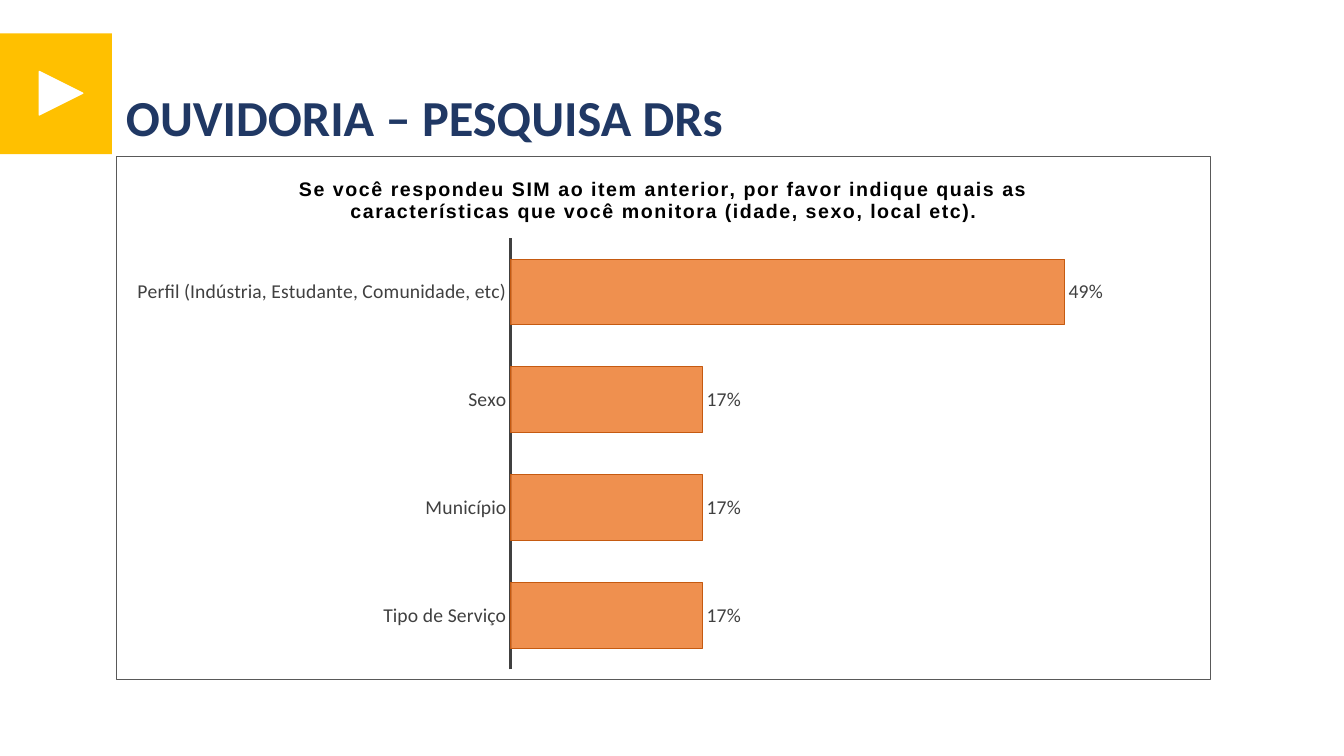
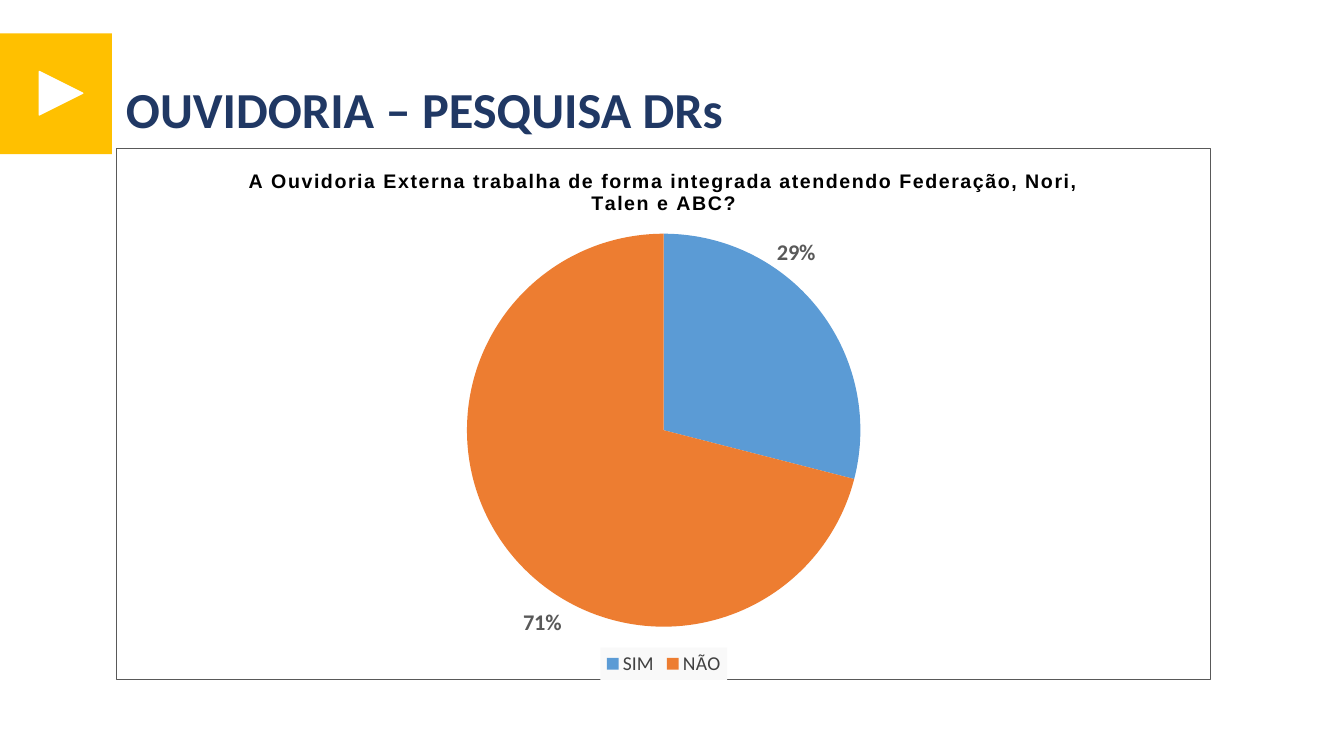
from dataclasses import dataclass
from typing import Callable

from lxml import etree
from pptx import Presentation
from pptx.chart import data as chart_data
from pptx.dml.color import RGBColor
from pptx.enum import chart as charts, shapes, text
from pptx.oxml import ns
from pptx.util import Pt

COLORS = {
    "white": "FFFFFF", "black": "000000", "yellow": "FFC000", "navy": "203864",
    "label": "404040", "border": "595959", "blue": "5B9BD5", "orange": "ED7D31",
    "rust": "C55A11", "legend": "F9F9F9",
}
HEADING = "OUVIDORIA – PESQUISA DRs"
MARGIN, PANEL_WIDTH, PANEL_BOTTOM = 82.8, 782.6, 486
HEADING_WIDTH, HEADING_HEIGHT, HEADING_PITCH = 676.8, 38.9, 45.4


@dataclass(frozen=True)
class Survey:
    heading_top: float
    question: str
    kind: charts.XL_CHART_TYPE
    answers: dict[str, float]
    number_format: str
    plot_area: tuple[float, float, float, float]
    style: Callable


def rgb(name: str) -> RGBColor:
    return RGBColor.from_string(COLORS[name])


def style_font(font, size: float, color: str, face: str = "Calibri", bold: bool = False) -> None:
    font.size, font.name, font.bold = Pt(size), face, bold
    font.color.rgb = rgb(color)


def add_child(parent, tag: str, **attributes: str):
    child = etree.SubElement(parent, ns.qn(tag))
    for key, value in attributes.items():
        child.set(key, value)
    return child


def solid_fill(parent, color: str) -> None:
    add_child(add_child(parent, "a:solidFill"), "a:srgbClr", val=COLORS[color])


def manual_layout(parent, index: int, values: dict[str, str]) -> None:
    layout = etree.Element(ns.qn("c:layout"))
    manual = add_child(layout, "c:manualLayout")
    for key, value in values.items():
        add_child(manual, f"c:{key}", val=value)
    parent.insert(index, layout)


def place_plot(chart, area: tuple[float, float, float, float]) -> None:
    plot_area = chart._chartSpace.find(".//" + ns.qn("c:plotArea"))
    for layout in plot_area.findall(ns.qn("c:layout")):
        plot_area.remove(layout)
    values = {"layoutTarget": "inner", "xMode": "edge", "yMode": "edge"}
    values.update(zip("xywh", map(str, area)))
    manual_layout(plot_area, 0, values)


def add_border(chart) -> None:
    properties = etree.Element(ns.qn("c:spPr"))
    solid_fill(properties, "white")
    solid_fill(add_child(properties, "a:ln", w=str(Pt(0.75))), "border")
    chart._chartSpace.find(ns.qn("c:chart")).addnext(properties)


def style_bars(chart) -> None:
    plot = chart.plots[0]
    plot.gap_width, plot.vary_by_categories = 65, False
    bars = plot.series[0]
    bars.format.fill.solid()
    bars.format.fill.fore_color.rgb = rgb("orange")
    shade = bars._element.find(".//" + ns.qn("a:srgbClr"))
    add_child(shade, "a:alpha", val="85000")
    bars.format.line.color.rgb = rgb("rust")
    bars.format.line.width = Pt(0.75)

    labels = bars.data_labels
    labels.show_value = True
    labels.number_format, labels.number_format_is_linked = "0%", False
    labels.position = charts.XL_LABEL_POSITION.OUTSIDE_END
    style_font(labels.font, 14, "label")

    categories = chart.category_axis
    categories.reverse_order = True
    categories.has_major_gridlines = False
    categories.major_tick_mark = charts.XL_TICK_MARK.NONE
    categories.format.line.color.rgb = rgb("label")
    categories.format.line.width = Pt(1.5)
    style_font(categories.tick_labels.font, 14, "label")
    scale = chart.value_axis
    scale.minimum_scale, scale.maximum_scale = 0, 0.6
    scale.has_major_gridlines = scale.visible = False


def style_pie(chart) -> None:
    plot = chart.plots[0]
    plot.vary_by_categories = True
    pie = plot.series[0]
    labels = pie.data_labels
    labels.show_value, labels.show_percentage = False, True
    labels.number_format, labels.number_format_is_linked = "0%", False
    style_font(labels.font, 16, "border", bold=True)
    slices = (("blue", 0.05, -0.22), ("orange", -0.04, 0.25))
    for index, (color, shift_x, shift_y) in enumerate(slices):
        point = pie.points[index]
        point.format.fill.solid()
        point.format.fill.fore_color.rgb = rgb(color)
        style_font(point.data_label.font, 16, "border", bold=True)
        point.data_label.position = charts.XL_LABEL_POSITION.CENTER
        label = pie._element.findall(".//" + ns.qn("c:dLbl"))[index]
        label.find(ns.qn("c:showVal")).set("val", "0")
        label.find(ns.qn("c:showPercent")).set("val", "1")
        manual_layout(label, 1, {"x": str(shift_x), "y": str(shift_y)})
    for leader in pie._element.iter(ns.qn("c:showLeaderLines")):
        leader.set("val", "0")

    chart.has_legend = True
    legend = chart.legend
    legend.position = charts.XL_LEGEND_POSITION.BOTTOM
    legend.include_in_layout = False
    style_font(legend.font, 14, "label")
    background = etree.Element(ns.qn("c:spPr"))
    solid_fill(background, "legend")
    legend._element.find(ns.qn("c:txPr")).addprevious(background)


def add_marker(slide, preset: shapes.MSO_SHAPE, box: tuple[float, ...], color: str,
               rotation: float = 0) -> None:
    marker = slide.shapes.add_shape(preset, *map(Pt, box))
    marker.shadow.inherit = False
    marker.rotation = rotation
    marker.fill.solid()
    marker.fill.fore_color.rgb = rgb(color)
    marker.line.color.rgb = rgb(color)
    marker.line.width = Pt(1)
    if not rotation:
        marker.line.fill.background()


def add_heading(slide, top: float) -> None:
    heading = slide.shapes.title
    heading.left, heading.top = Pt(MARGIN), Pt(top)
    heading.width, heading.height = Pt(HEADING_WIDTH), Pt(HEADING_HEIGHT)
    frame = heading.text_frame
    frame.text = HEADING
    frame.word_wrap = True
    frame.auto_size = text.MSO_AUTO_SIZE.NONE
    frame.vertical_anchor = text.MSO_ANCHOR.MIDDLE
    paragraph = frame.paragraphs[0]
    paragraph.alignment = text.PP_ALIGN.LEFT
    paragraph.line_spacing = 0.9
    style_font(paragraph.font, 36, "navy", bold=True)


def add_survey_chart(slide, survey: Survey) -> None:
    data = chart_data.CategoryChartData(number_format=survey.number_format)
    data.categories = list(survey.answers)
    data.add_series("Series 1", list(survey.answers.values()))
    top = survey.heading_top + HEADING_PITCH
    box = (MARGIN, top, PANEL_WIDTH, PANEL_BOTTOM - top)
    chart = slide.shapes.add_chart(survey.kind, *map(Pt, box), data).chart
    style_font(chart.font, 10, "black")
    chart.has_legend = False
    chart.has_title = True
    question = chart.chart_title.text_frame
    question.text = survey.question
    paragraph = question.paragraphs[0]
    style_font(paragraph.font, 14, "black", "Arial", True)
    paragraph._p.find(".//" + ns.qn("a:defRPr")).set("spc", "100")
    chart.chart_title.include_in_layout = False
    survey.style(chart)
    place_plot(chart, survey.plot_area)
    add_border(chart)


SURVEYS = (
    Survey(
        66.2,
        "Se você respondeu SIM ao item anterior, por favor indique quais as "
        "características que você monitora (idade, sexo, local etc).",
        charts.XL_CHART_TYPE.BAR_CLUSTERED,
        {"Perfil (Indústria, Estudante, Comunidade, etc)": 0.49, "Sexo": 0.17,
         "Município": 0.17, "Tipo de Serviço": 0.17},
        "0%", (0.36, 0.155, 0.62, 0.825), style_bars,
    ),
    Survey(
        60.5,
        "A Ouvidoria Externa trabalha de forma integrada atendendo Federação, "
        "Nori, Talen e ABC?",
        charts.XL_CHART_TYPE.PIE,
        {"SIM": 29, "NÃO": 71},
        "General", (0.32, 0.16, 0.36, 0.74), style_pie,
    ),
)


def main() -> None:
    deck = Presentation()
    deck.slide_width, deck.slide_height = Pt(960), Pt(540)
    for survey in SURVEYS:
        slide = deck.slides.add_slide(deck.slide_layouts[5])
        add_marker(slide, shapes.MSO_SHAPE.RECTANGLE, (0, 23.8, 80, 86.4), "yellow")
        add_marker(slide, shapes.MSO_SHAPE.ISOSCELES_TRIANGLE, (28.1, 51.1, 31, 31), "white", 90)
        add_heading(slide, survey.heading_top)
        add_survey_chart(slide, survey)
    deck.save("out.pptx")


if __name__ == "__main__":
    main()
